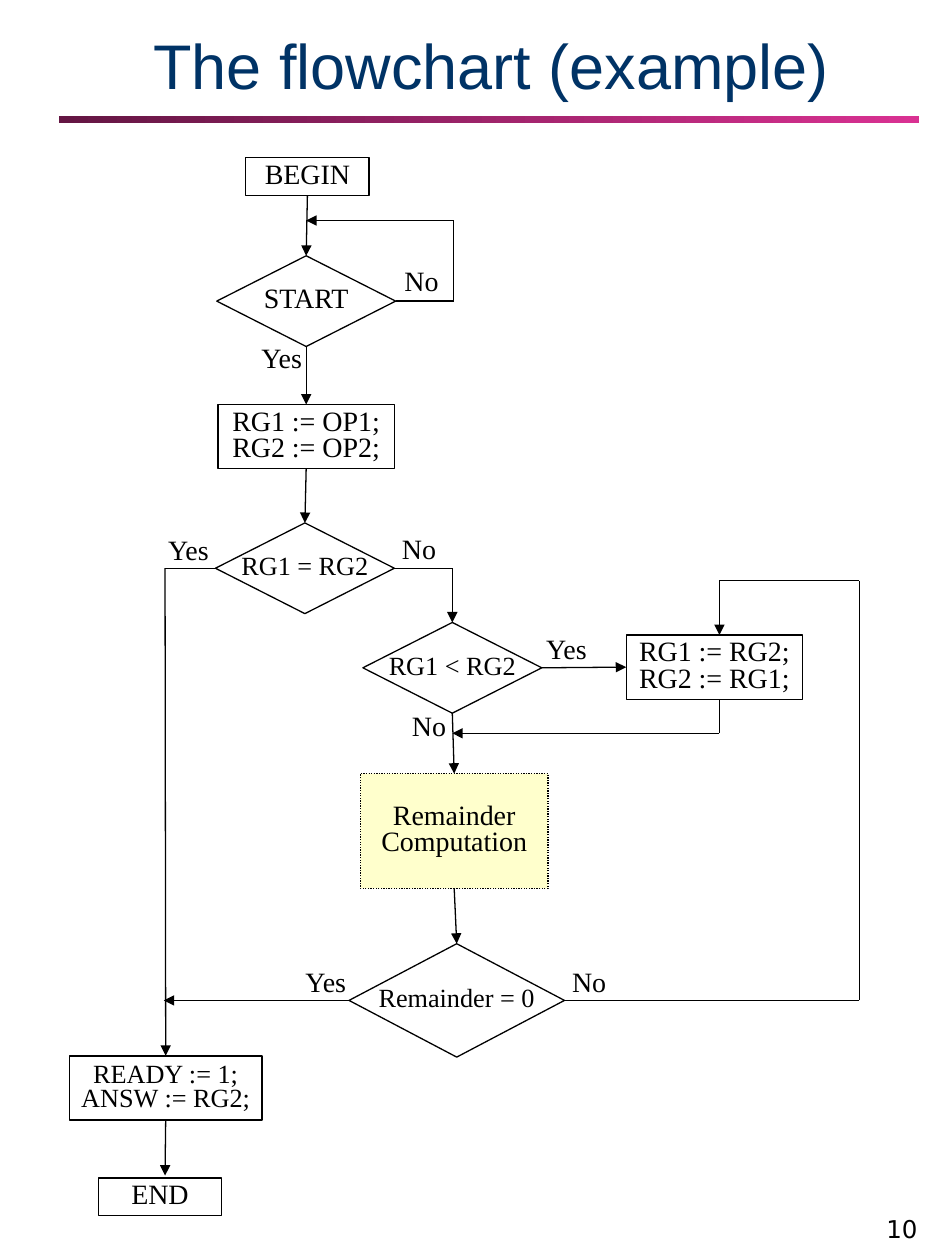
from lxml.etree import SubElement
from pptx import Presentation
from pptx.dml.color import RGBColor
from pptx.enum.dml import MSO_LINE
from pptx.enum.shapes import MSO_CONNECTOR, MSO_SHAPE
from pptx.enum.text import MSO_ANCHOR as Anchor, PP_ALIGN as Align
from pptx.oxml.ns import qn
from pptx.util import Inches, Pt

COLORS = {
    "black": "000000",
    "title": "003366",
    "highlight": "FFFFCC",
    "rule_dark": "641643",
    "rule_pink": "D93192",
}
BODY_FONT = "Times New Roman"
LINE_WIDTH = Pt(0.75)
TOP, LEFT, BOTTOM, RIGHT = range(4)


def rgb(name):
    return RGBColor.from_string(COLORS[name])


def write(shape, lines, size, font=BODY_FONT, color="black", align=Align.CENTER,
          anchor=Anchor.MIDDLE, spacing=0.78, margins=(0, 0), wrap=True):
    frame = shape.text_frame
    frame.word_wrap = wrap
    frame.vertical_anchor = anchor
    frame.margin_left = frame.margin_right = Inches(margins[0])
    frame.margin_top = frame.margin_bottom = Inches(margins[1])
    for index, line in enumerate(lines):
        paragraph = frame.add_paragraph() if index else frame.paragraphs[0]
        paragraph.alignment = align
        paragraph.line_spacing = spacing
        run = paragraph.add_run()
        run.text = line
        run.font.size = Pt(size)
        run.font.name = font
        run.font.color.rgb = rgb(color)


def add_title(slide, text):
    title = slide.shapes.title
    title.left, title.top = Inches(0.55), Inches(0.16)
    title.width, title.height = Inches(6.7), Inches(0.7)
    write(title, [text], 36, "Arial", "title", anchor=Anchor.BOTTOM,
          spacing=1.0, margins=(0.1, 0.05))


def add_rule(slide):
    rule = slide.shapes.add_shape(
        MSO_SHAPE.RECTANGLE, Inches(0.47), Inches(0.92), Inches(6.82), Inches(0.06))
    rule.shadow.inherit = False
    rule.line.fill.background()
    rule.fill.gradient()
    rule.fill.gradient_angle = 0
    for stop, name in zip(rule.fill.gradient_stops, ("rule_dark", "rule_pink")):
        stop.color.rgb = rgb(name)


def add_page_number(slide, number):
    box = slide.shapes.add_textbox(
        Inches(6.46), Inches(9.49), Inches(0.92), Inches(0.43))
    write(box, [number], 14, "DejaVu Sans", align=Align.RIGHT,
          anchor=Anchor.BOTTOM, spacing=1.0, margins=(0.1, 0.05))


def add_node(slide, kind, left, top, width, height, lines, size=16, wrap=True):
    node = slide.shapes.add_shape(
        kind, Inches(left), Inches(top), Inches(width), Inches(height))
    node.shadow.inherit = False
    node.fill.background()
    node.line.color.rgb = rgb("black")
    node.line.width = LINE_WIDTH
    write(node, lines, size, wrap=wrap)
    return node


def add_step(slide, left, top, width, height, *lines, size=16):
    return add_node(slide, MSO_SHAPE.RECTANGLE, left, top, width, height, lines, size)


def add_decision(slide, left, top, text, width=1.42, height=0.72, size=15):
    return add_node(slide, MSO_SHAPE.DIAMOND, left, top, width, height, [text],
                    size, wrap=False)


def add_label(slide, left, top, text):
    box = slide.shapes.add_textbox(
        Inches(left), Inches(top), Inches(0.39), Inches(0.25))
    write(box, [text], 16)


def is_port(point):
    """A port is (node, side); any other point is (x, y) in inches."""
    return not isinstance(point[0], (int, float))


def add_segment(slide, start, end, arrow):
    x1, y1 = (0, 0) if is_port(start) else start
    x2, y2 = (0, 0) if is_port(end) else end
    line = slide.shapes.add_connector(
        MSO_CONNECTOR.STRAIGHT, Inches(x1), Inches(y1), Inches(x2), Inches(y2))
    if is_port(start):
        line.begin_connect(*start)
    if is_port(end):
        line.end_connect(*end)
    line.line.color.rgb = rgb("black")
    line.line.width = LINE_WIDTH
    properties = line.element.spPr
    if arrow:
        SubElement(properties.find(qn("a:ln")), qn("a:tailEnd"), type="triangle")
    SubElement(properties, qn("a:effectLst"))


def add_route(slide, *points, arrow=True):
    """Straight segments through the points, with an arrowhead on the last."""
    last = len(points) - 2
    for index, (start, end) in enumerate(zip(points, points[1:])):
        add_segment(slide, start, end, arrow and index == last)


def main():
    presentation = Presentation()
    presentation.slide_width = Inches(7.5)
    presentation.slide_height = Inches(10)
    slide = presentation.slides.add_slide(presentation.slide_layouts[5])

    # Heading and page number
    add_rule(slide)
    add_title(slide, "The flowchart (example)")
    add_page_number(slide, "10")

    # Steps
    begin = add_step(slide, 1.95, 1.25, 0.98, 0.3, "BEGIN")
    load = add_step(slide, 1.73, 3.21, 1.4, 0.51, "RG1 := OP1;", "RG2 := OP2;")
    swap = add_step(slide, 4.97, 5.04, 1.4, 0.51, "RG1 := RG2;", "RG2 := RG1;")
    compute = add_step(slide, 2.86, 6.14, 1.49, 0.91, "Remainder Computation")
    compute.fill.solid()
    compute.fill.fore_color.rgb = rgb("highlight")
    compute.line.dash_style = MSO_LINE.ROUND_DOT
    ready = add_step(slide, 0.55, 8.38, 1.53, 0.51, "READY := 1;", "ANSW := RG2;",
                     size=15)
    add_step(slide, 0.78, 9.35, 0.98, 0.3, "END")

    # Decisions
    start = add_decision(slide, 1.72, 2.03, "START", size=16)
    equal = add_decision(slide, 1.71, 4.15, "RG1 = RG2")
    less = add_decision(slide, 2.88, 4.94, "RG1 < RG2")
    zero = add_decision(slide, 2.77, 7.49, "Remainder = 0", 1.71, 0.9)

    # Direct flow between nodes
    for source, side, target, target_side in (
        (begin, BOTTOM, start, TOP),
        (start, BOTTOM, load, TOP),
        (load, BOTTOM, equal, TOP),
        (less, RIGHT, swap, LEFT),
        (less, BOTTOM, compute, TOP),
        (compute, BOTTOM, zero, TOP),
    ):
        add_route(slide, (source, side), (target, target_side))
    add_route(slide, (ready, BOTTOM), (1.31, 9.33))

    # Branches and loops
    add_route(slide, (start, RIGHT), (3.6, 2.39), (3.6, 1.75), (2.43, 1.75))
    add_route(slide, (equal, LEFT), (1.31, 4.51), (ready, TOP))
    add_route(slide, (equal, RIGHT), (3.59, 4.51), (less, TOP))
    add_route(slide, (5.71, 5.55), (5.71, 5.82), (3.59, 5.82))
    add_route(slide, (zero, RIGHT), (6.82, 7.94), (6.82, 4.61), (5.71, 4.61),
              (5.71, 5.04))
    add_route(slide, (zero, LEFT), (1.3, 7.94))

    # Branch labels
    for left, top, text in (
        (3.15, 2.13, "No"), (2.04, 2.74, "Yes"),
        (1.3, 4.26, "Yes"), (3.13, 4.25, "No"),
        (4.3, 5.05, "Yes"), (3.21, 5.66, "No"),
        (2.39, 7.69, "Yes"), (4.48, 7.69, "No"),
    ):
        add_label(slide, left, top, text)

    presentation.save("out.pptx")


if __name__ == "__main__":
    main()
